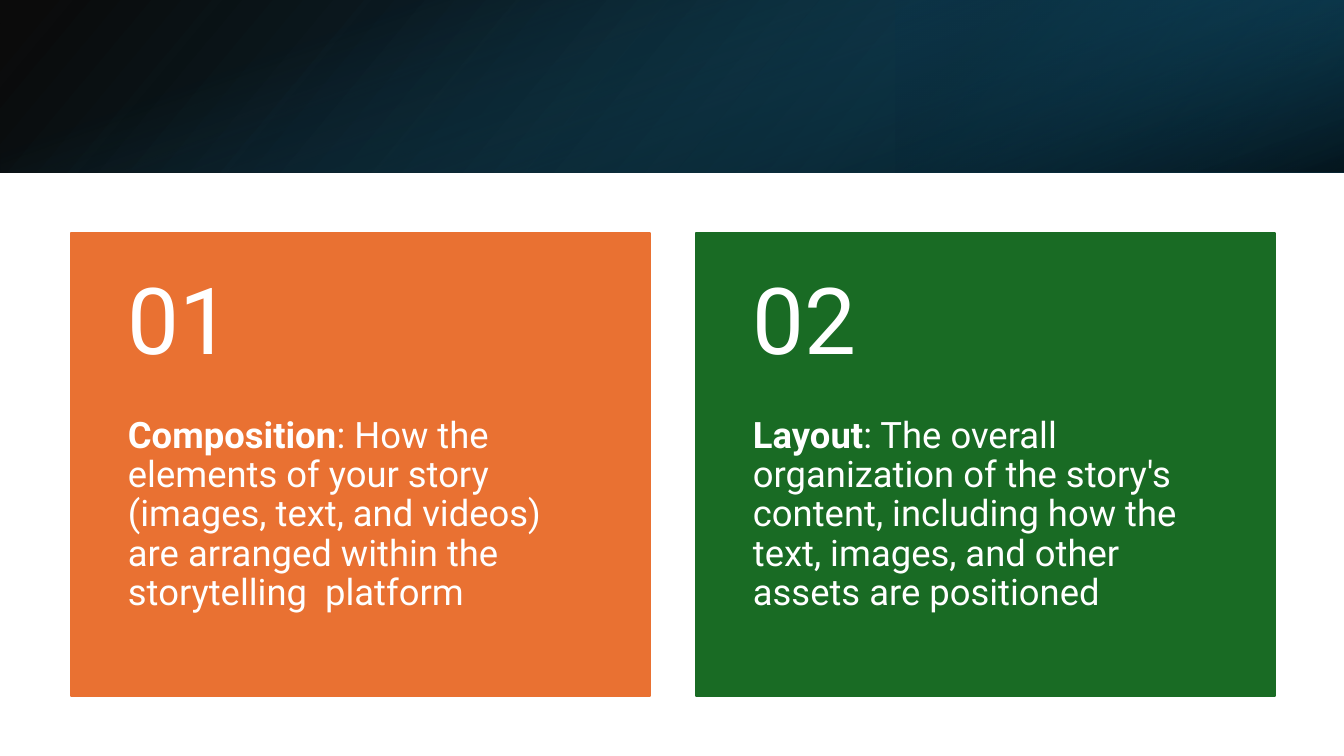
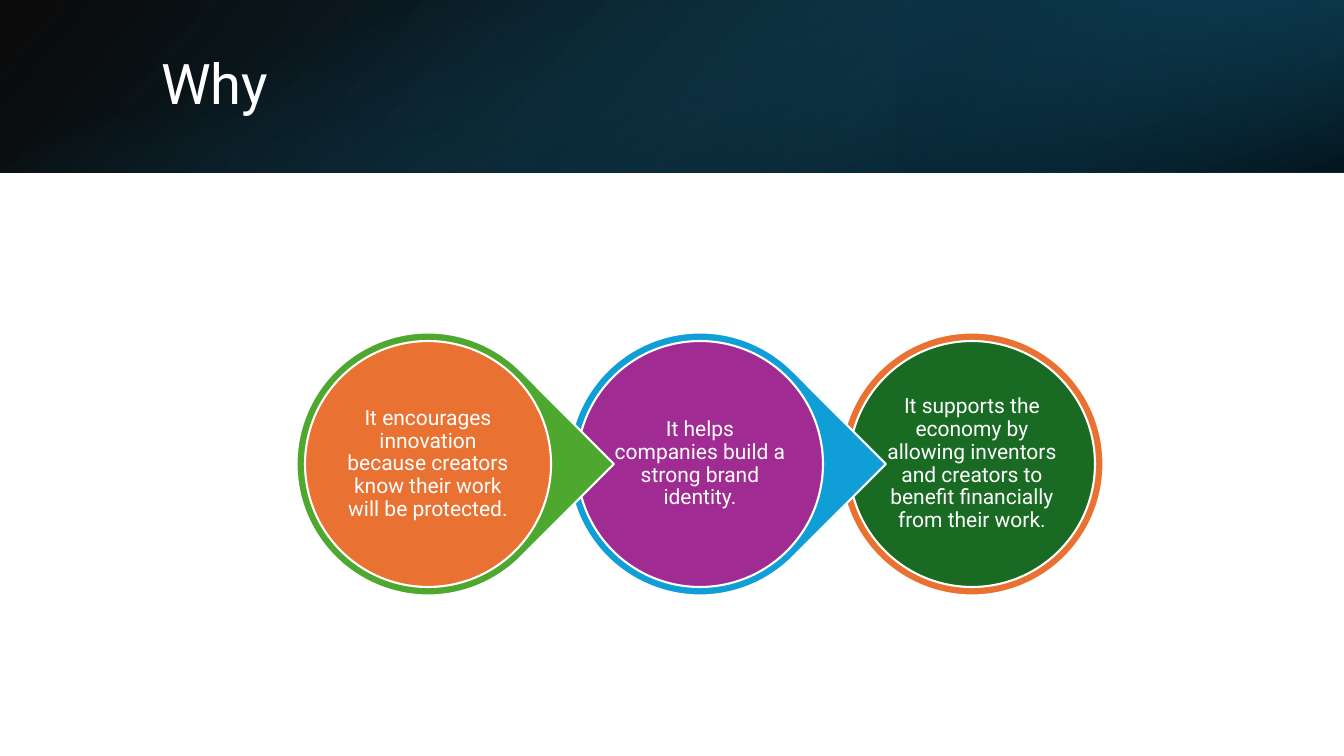
"""Build two slides: composition and layout cards, and reasons in linked circles."""
from pptx import Presentation
from pptx.dml.color import RGBColor
from pptx.enum.shapes import MSO_SHAPE as Shape
from pptx.enum.text import MSO_ANCHOR as Anchor, MSO_AUTO_SIZE as AutoSize, PP_ALIGN as Align
from pptx.oxml.ns import qn
from pptx.oxml.xmlchemy import OxmlElement
from pptx.util import Pt

BLACK = RGBColor(0x00, 0x00, 0x00)
WHITE = RGBColor(0xFF, 0xFF, 0xFF)
NAVY = RGBColor(0x10, 0x48, 0x62)
DEEP = RGBColor(0x0B, 0x30, 0x41)
TEAL = RGBColor(0x15, 0x60, 0x82)
ORANGE = RGBColor(0xE9, 0x71, 0x32)
GREEN = RGBColor(0x19, 0x6B, 0x24)
LIME = RGBColor(0x4E, 0xA7, 0x2E)
BLUE = RGBColor(0x0F, 0x9E, 0xD5)
PURPLE = RGBColor(0xA0, 0x2B, 0x93)
FONT = "Roboto"

CARDS = [
    ("01", "Composition", ": How the elements of your story (images, text, and videos) "
     "are arranged within the storytelling  platform", ORANGE),
    ("02", "Layout", ": The overall organization of the story's content, including how "
     "the text, images, and other assets are positioned", GREEN),
]
TITLE = "Why"
REASONS = [
    ("It encourages innovation because creators know their work will be protected.",
     LIME, ORANGE),
    ("It helps companies build a strong brand identity.", BLUE, PURPLE),
    ("It supports the economy by allowing inventors and creators to benefit financially "
     "from their work.", ORANGE, GREEN),
]

WIDTH, HEIGHT, BAND = 1344, 756, 173
GLOW = 448
BAND_LAYERS = [
    ((0, 0, WIDTH, BAND), 0, True, 140, [(0, BLACK, 96), (100, NAVY, 100)]),
    ((WIDTH - GLOW, 0, GLOW, BAND), 180, True, 320, [(19, DEEP, 68), (100, TEAL, 79)]),
    (((WIDTH - BAND) / 2, (BAND - WIDTH) / 2, BAND, WIDTH), 90, False, 340,
     [(23, TEAL, 0), (99, BLACK, 74)]),
]
TITLE_AREA = (151, 38, 1107, 97)
CARD_LEFT, CARD_TOP, CARD_WIDTH, CARD_HEIGHT = 71, 233, 579, 463
CARD_PITCH, NUMBER_HEIGHT = 625, 184
CIRCLE_X, CIRCLE_Y, CIRCLE_PITCH = 428, 464, 272
RING, DISC, LABEL = 263, 246, 175


def px(value):
    return round(value * 914400 / 100.8)


def add_figure(page, kind, area, fill=None, line=None):
    figure = page.shapes.add_shape(kind, *map(px, area))
    figure.shadow.inherit = False
    if fill is not None:
        figure.fill.solid()
        figure.fill.fore_color.rgb = fill
    if line is None:
        figure.line.fill.background()
    else:
        figure.line.color.rgb = line
        figure.line.width = Pt(1.5)
    return figure


def write(box, spans, size, anchor=Anchor.TOP, align=Align.LEFT, insets=None):
    frame = box.text_frame
    frame.word_wrap = True
    frame.auto_size = AutoSize.NONE
    frame.vertical_anchor = anchor
    if insets:
        (frame.margin_left, frame.margin_top,
         frame.margin_right, frame.margin_bottom) = map(px, insets)
    para = frame.paragraphs[0]
    para.alignment = align
    para.line_spacing = 0.9
    for text, bold in spans:
        span = para.add_run()
        span.text = text
        span.font.name = FONT
        span.font.size = Pt(size)
        span.font.bold = bold
        span.font.color.rgb = WHITE


def add_text(page, area, *args, **options):
    write(page.shapes.add_textbox(*map(px, area)), *args, **options)


def add_band(page):
    for area, rotation, flipped, angle, stops in BAND_LAYERS:
        layer = add_figure(page, Shape.RECTANGLE, area)
        layer.rotation = rotation
        if flipped:
            layer.element.spPr.find(qn("a:xfrm")).set("flipH", "1")
        layer.fill.gradient()
        layer.fill.gradient_angle = 360 - angle
        for stop, (position, color, _) in zip(layer.fill.gradient_stops, stops):
            stop.position = position / 100
            stop.color.rgb = color
        colors = layer.element.spPr.iter(qn("a:srgbClr"))
        for color, (_, _, opacity) in zip(colors, stops):
            alpha = OxmlElement("a:alpha")
            alpha.set("val", str(opacity * 1000))
            color.append(alpha)


def add_card(page, index, number, term, meaning, color):
    left = CARD_LEFT + index * CARD_PITCH
    add_figure(page, Shape.RECTANGLE, (left, CARD_TOP, CARD_WIDTH, CARD_HEIGHT), color, color)
    add_text(page, (left, CARD_TOP + NUMBER_HEIGHT, CARD_WIDTH, CARD_HEIGHT - NUMBER_HEIGHT),
             [(term, True), (meaning, False)], 26, insets=(57, 0, 57, 36))
    add_text(page, (left, CARD_TOP, CARD_WIDTH, NUMBER_HEIGHT), [(number, False)], 66,
             anchor=Anchor.MIDDLE, insets=(57, 18, 57, 18))


def add_reason(page, index, text, ring_color, disc_color):
    def centred(size):
        middle = CIRCLE_X + index * CIRCLE_PITCH
        return middle - size / 2, CIRCLE_Y - size / 2, size, size

    last = index == len(REASONS) - 1
    ring = add_figure(page, Shape.OVAL if last else Shape.TEAR, centred(RING), ring_color, WHITE)
    ring.rotation = 0 if last else 45
    add_figure(page, Shape.OVAL, centred(DISC), disc_color, WHITE)
    add_text(page, centred(LABEL), [(text, False)], 15, anchor=Anchor.MIDDLE,
             align=Align.CENTER, insets=(2, 2, 2, 2))


def main():
    deck = Presentation()
    deck.slide_width, deck.slide_height = px(WIDTH), px(HEIGHT)
    title_only, blank = deck.slide_layouts[5], deck.slide_layouts[6]

    page = deck.slides.add_slide(blank)
    add_band(page)
    for index, card in enumerate(CARDS):
        add_card(page, index, *card)

    page = deck.slides.add_slide(title_only)
    add_band(page)
    title = page.shapes.title
    title.left, title.top, title.width, title.height = map(px, TITLE_AREA)
    write(title, [(TITLE, False)], 40, anchor=Anchor.MIDDLE)
    title.element.getparent().append(title.element)
    for index, reason in reversed(list(enumerate(REASONS))):
        add_reason(page, index, *reason)

    deck.save("out.pptx")


if __name__ == "__main__":
    main()
